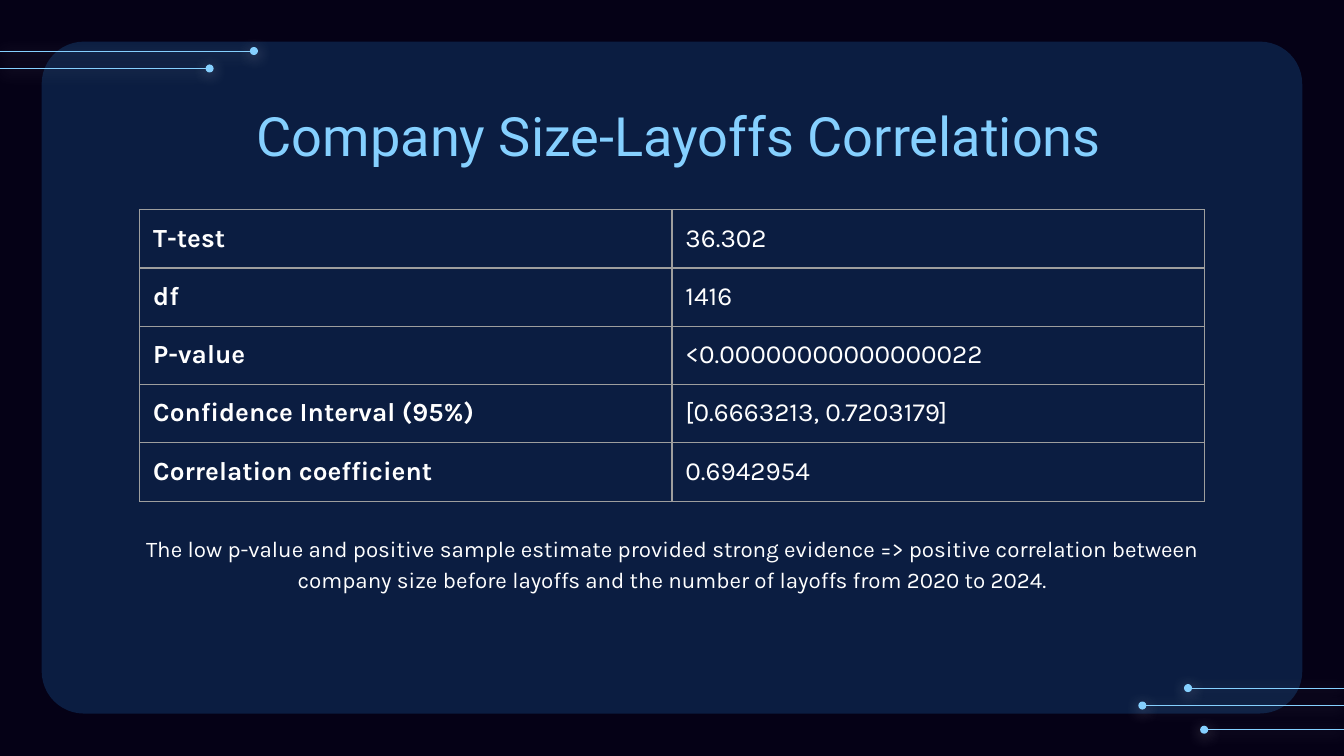
from lxml import etree
from pptx import Presentation
from pptx.dml.color import RGBColor
from pptx.enum import shapes, text
from pptx.oxml import ns
from pptx.util import Inches, Pt

# Content
TITLE = "Company Size-Layoffs Correlations"
ROWS = [
    ("T-test", "36.302"),
    ("df", "1416"),
    ("P-value", "<0.00000000000000022"),
    ("Confidence Interval (95%)", "[0.6663213, 0.7203179]"),
    ("Correlation coefficient", "0.6942954"),
]
NOTE = ("The low p-value and positive sample estimate provided strong evidence "
        "=> positive correlation between company size before layoffs and the "
        "number of layoffs from 2020 to 2024.")
# Circuit traces: dot centre x, y and the slide edge the line runs to
WIDE = 10
HIGH = WIDE * 9 / 16
TRACES = [(8.96, 5.43, WIDE), (8.84, 5.12, WIDE), (8.5, 5.25, WIDE),
          (1.56, 0.51, 0), (1.89, 0.38, 0)]
DOT = 0.06

THEME = dict(back="050116", panel="11396C", sky="85D0FF", white="FFFFFF",
             grid="9E9E9E", head="Roboto", body="Karla",
             title=29, cell=14, note=12)


def color(name):
    return RGBColor.from_string(THEME[name])


def paint(fill, name):
    fill.solid()
    fill.fore_color.rgb = color(name)


def add(parent, tag, **attrs):
    node = etree.SubElement(parent, ns.qn(tag))
    for key, value in attrs.items():
        node.set(key, str(value))
    return node


def glow(shape):
    """Give a trace part its soft white shadow."""
    props = shape._element.spPr
    shade = add(add(props, "a:effectLst"), "a:outerShdw", blurRad=Pt(7.9),
                dist=Pt(1.5), dir=83 * 60000, algn="bl", rotWithShape=0)
    add(add(shade, "a:srgbClr", val=THEME["white"]), "a:alpha", val=42000)


def write(frame, words, size, font="body", tint="white", bold=False,
          align=text.PP_ALIGN.LEFT, space=None):
    frame.word_wrap = True
    para = frame.paragraphs[0]
    para.alignment = align
    para.line_spacing = space
    run = para.add_run()
    run.text = words
    run.font.name = THEME[font]
    run.font.size = Pt(THEME[size])
    run.font.bold = bold
    run.font.color.rgb = color(tint)


def pad(thing):
    for side in ("left", "top", "right", "bottom"):
        setattr(thing, "margin_" + side, Inches(0.1))


def label(slide, box, words, **style):
    frame = slide.shapes.add_textbox(*map(Inches, box)).text_frame
    pad(frame)
    write(frame, words, align=text.PP_ALIGN.CENTER, **style)


def border(cell):
    props = cell._tc.get_or_add_tcPr()
    for spot, side in enumerate(("a:lnL", "a:lnR", "a:lnT", "a:lnB")):
        line = etree.Element(ns.qn(side), w=str(Pt(0.75)))
        add(add(line, "a:solidFill"), "a:srgbClr", val=THEME["grid"])
        props.insert(spot, line)


deck = Presentation()
deck.slide_width, deck.slide_height = Inches(WIDE), Inches(HIGH)
slide = deck.slides.add_slide(deck.slide_layouts[6])
paint(slide.background.fill, "back")

# Panel
panel = slide.shapes.add_shape(
    shapes.MSO_SHAPE.ROUNDED_RECTANGLE, *map(Inches, (0.31, 0.31, 9.38, 5)))
panel.adjustments[0] = 0.063
panel.shadow.inherit = False
panel.line.fill.background()
paint(panel.fill, "panel")
tone = panel._element.spPr.find(".//" + ns.qn("a:srgbClr"))
add(tone, "a:alpha", val=51000)

# Circuit traces
for x, y, edge in TRACES:
    start = x + DOT / 2 if edge else x - DOT / 2
    wire = slide.shapes.add_connector(
        shapes.MSO_CONNECTOR.STRAIGHT, *map(Inches, (start, y, edge, y)))
    wire.line.color.rgb = color("sky")
    wire.line.width = Pt(0.5)
    dot = slide.shapes.add_shape(
        shapes.MSO_SHAPE.OVAL,
        *map(Inches, (x - DOT / 2, y - DOT / 2, DOT, DOT)))
    dot.line.fill.background()
    paint(dot.fill, "sky")
    glow(wire)
    glow(dot)

# Title
label(slide, (0.84, 0.66, 8.43, 0.63), TITLE,
      size="title", font="head", tint="sky")

# Results table
COL, TALL = 3.96, 2.13
table = slide.shapes.add_table(
    len(ROWS), 2, *map(Inches, (1.04, 1.56, 2 * COL, TALL))).table
table.first_row = table.horz_banding = False
for r, row in enumerate(ROWS):
    for c, words in enumerate(row):
        cell = table.cell(r, c)
        pad(cell)
        cell.fill.background()
        border(cell)
        write(cell.text_frame, words, "cell", bold=c == 0)

# Conclusion
label(slide, (0.92, 3.85, 8.17, 0.79), NOTE, size="note", space=1.15)

deck.save("out.pptx")
